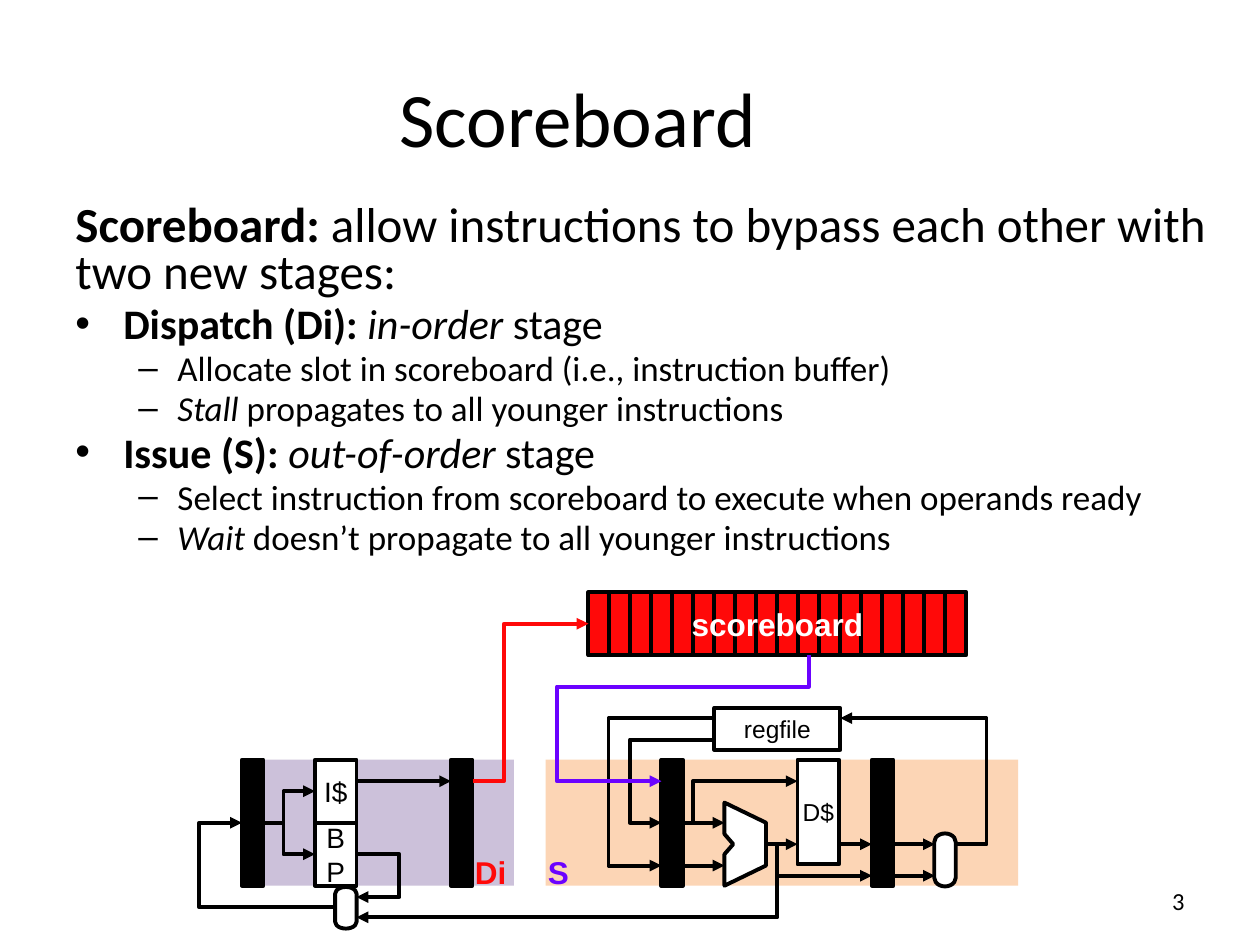
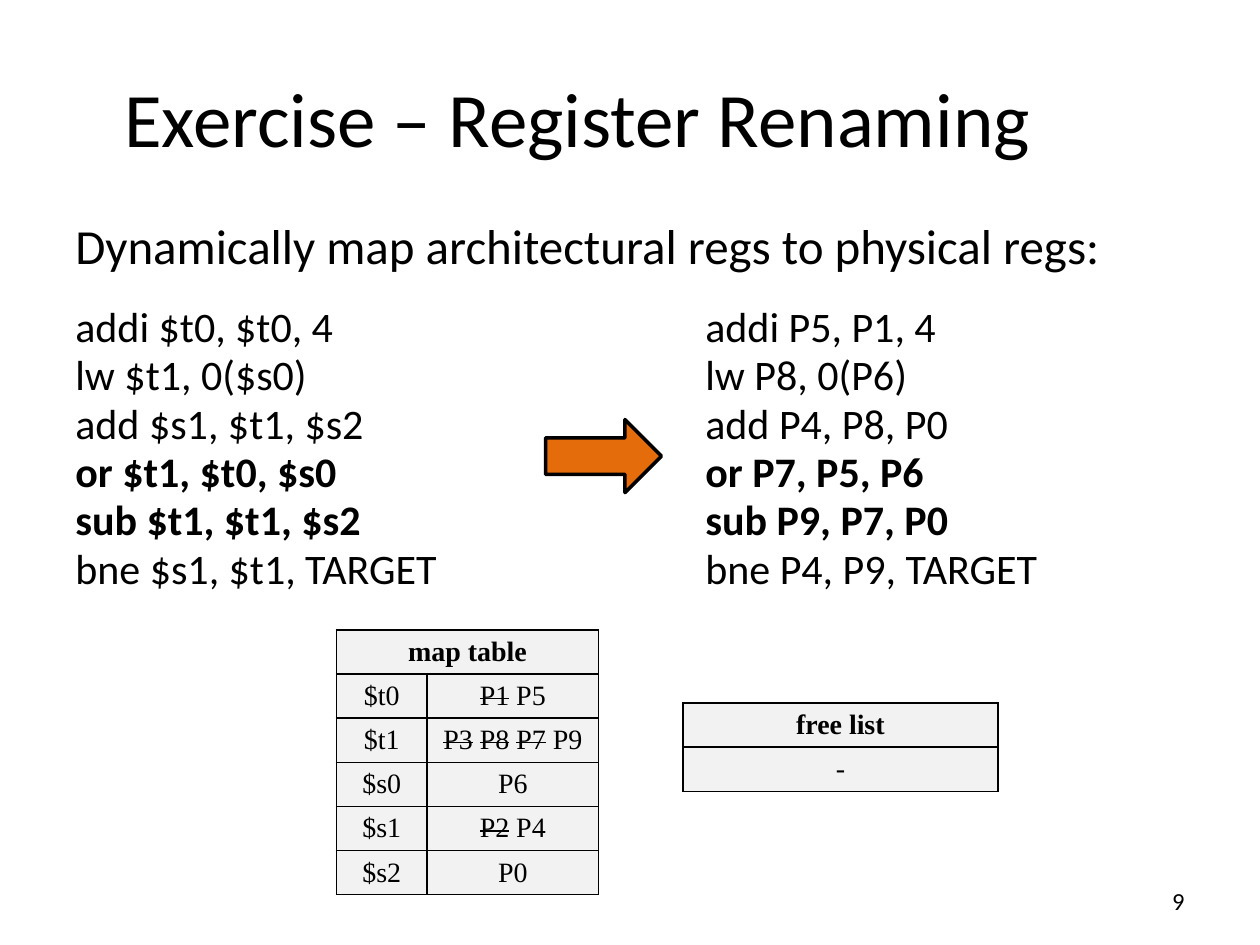
from lxml import etree
from pptx import Presentation
from pptx.dml.color import RGBColor
from pptx.enum.shapes import MSO_CONNECTOR, MSO_SHAPE
from pptx.enum.text import MSO_ANCHOR, PP_ALIGN
from pptx.oxml.ns import qn
from pptx.util import Inches, Pt

BLACK = RGBColor(0x00, 0x00, 0x00)
WHITE = RGBColor(0xFF, 0xFF, 0xFF)
RED = RGBColor(0xFF, 0x09, 0x09)
VIOLET = RGBColor(0x6B, 0x02, 0xFF)
LILAC = RGBColor(0xCC, 0xC1, 0xDA)
PEACH = RGBColor(0xFC, 0xD5, 0xB5)
ORANGE = RGBColor(0xE4, 0x6C, 0x0A)
GRAY = RGBColor(0xF2, 0xF2, 0xF2)

BODY, DIAGRAM, TABLE = "Calibri", "Arial", "Times New Roman"
BULLETS = {"•": (0.38, -0.38), "–": (0.81, -0.31)}


def write(paragraph, text, size=14, font=BODY, color=BLACK,
          bold=False, italic=False, strike=False):
    span = paragraph.add_run()
    span.text = text
    span.font.size = Pt(size)
    span.font.name = font
    span.font.color.rgb = color
    span.font.bold = bold
    span.font.italic = italic
    if strike:
        span.font._element.set("strike", "sngStrike")


class SlideWriter:
    def __init__(self, deck):
        self.deck = deck
        self.slide = None

    def start(self, title, number):
        """Add a slide with its title and page number."""
        self.slide = self.deck.slides.add_slide(self.deck.slide_layouts[5])
        holder = self.slide.shapes.title
        holder.left, holder.top = Inches(0.5), Inches(0.3)
        holder.width, holder.height = Inches(8.17), Inches(1.25)
        holder.text_frame.vertical_anchor = MSO_ANCHOR.MIDDLE
        paragraph = holder.text_frame.paragraphs[0]
        paragraph.alignment = PP_ALIGN.CENTER
        write(paragraph, title, size=44)
        self.label(str(number), 8.33, 6.95, 1.17, 0.4, align=PP_ALIGN.RIGHT,
                   anchor=MSO_ANCHOR.MIDDLE, wrap=True)

    def text_box(self, left, top, width, height):
        return self.slide.shapes.add_textbox(
            Inches(left), Inches(top), Inches(width), Inches(height))

    def label(self, text, left, top, width, height, align=PP_ALIGN.LEFT,
              anchor=MSO_ANCHOR.TOP, wrap=False, **style):
        frame = self.text_box(left, top, width, height).text_frame
        self.fill_frame(frame, text, align, anchor, wrap, **style)

    def fill_frame(self, frame, text, align=PP_ALIGN.CENTER,
                   anchor=MSO_ANCHOR.MIDDLE, wrap=False, **style):
        frame.word_wrap = wrap
        frame.vertical_anchor = anchor
        for index, line in enumerate(text.split("\n")):
            paragraph = frame.add_paragraph() if index else frame.paragraphs[0]
            paragraph.alignment = align
            write(paragraph, line, **style)

    def body(self, left, top, width, height, rows):
        """Each row: size, list of (text, style), bullet, extra space, tab."""
        frame = self.text_box(left, top, width, height).text_frame
        frame.word_wrap = True
        for index, row in enumerate(rows):
            paragraph = frame.add_paragraph() if index else frame.paragraphs[0]
            properties = paragraph._p.get_or_add_pPr()
            if row.get("bullet"):
                margin, indent = BULLETS[row["bullet"]]
                properties.set("marL", str(Inches(margin)))
                properties.set("indent", str(Inches(indent)))
                font = etree.SubElement(properties, qn("a:buFont"))
                font.set("typeface", "Arial")
                mark = etree.SubElement(properties, qn("a:buChar"))
                mark.set("char", row["bullet"])
            if row.get("tab"):
                stops = etree.SubElement(properties, qn("a:tabLst"))
                stop = etree.SubElement(stops, qn("a:tab"))
                stop.set("pos", str(Inches(row["tab"])))
                stop.set("algn", "l")
            paragraph.line_spacing = 0.8
            if index:
                gap = 0.19 * row["size"] + row.get("extra", 0)
                paragraph.space_before = Pt(round(gap, 1))
            for text, style in row["spans"]:
                write(paragraph, text, size=row["size"], **style)

    def shape(self, left, top, width, height, fill=WHITE, line=2.25,
              kind=MSO_SHAPE.RECTANGLE, rotation=0, text="", size=14):
        shape = self.slide.shapes.add_shape(
            kind, Inches(left), Inches(top), Inches(width), Inches(height))
        shape.rotation = rotation
        shape.fill.solid()
        shape.fill.fore_color.rgb = fill
        self.outline(shape, line)
        if text:
            self.fill_frame(shape.text_frame, text, size=size, font=DIAGRAM)

    def outline(self, shape, width=2.25, color=BLACK):
        shape.shadow.inherit = False
        if width:
            shape.line.color.rgb = color
            shape.line.width = Pt(width)
        else:
            shape.line.fill.background()

    def freeform(self, points, close):
        corners = [(Inches(x), Inches(y)) for x, y in points]
        builder = self.slide.shapes.build_freeform(*corners[0])
        builder.add_line_segments(corners[1:], close=close)
        return builder.convert_to_shape()

    def polygon(self, points, fill=WHITE):
        shape = self.freeform(points, close=True)
        shape.fill.solid()
        shape.fill.fore_color.rgb = fill
        self.outline(shape)

    def wire(self, *points, color=BLACK, arrow=True):
        """Straight wires are connectors, bent ones open outlines."""
        if len(points) == 2:
            ends = [Inches(value) for point in points for value in point]
            wire = self.slide.shapes.add_connector(MSO_CONNECTOR.STRAIGHT, *ends)
            etree.SubElement(wire._element.spPr, qn("a:effectLst"))
            wire.line.color.rgb = color
            wire.line.width = Pt(2.25)
        else:
            wire = self.freeform(points, close=False)
            wire.fill.background()
            self.outline(wire, color=color)
        if arrow:
            line = wire._element.spPr.find(qn("a:ln"))
            etree.SubElement(line, qn("a:tailEnd")).set("type", "triangle")

    def table(self, left, top, widths, heading, rows):
        count = len(rows) + 1
        height = 0.35
        table = self.slide.shapes.add_table(
            count, len(widths), Inches(left), Inches(top),
            Inches(sum(widths)), Inches(height * count)).table
        for column, width in zip(table.columns, widths):
            column.width = Inches(width)
        for row in table.rows:
            row.height = Inches(height)
        for cell in table.iter_cells():
            self.format_cell(cell)
        if len(widths) > 1:
            table.cell(0, 0).merge(table.cell(0, len(widths) - 1))
        write(table.cell(0, 0).text_frame.paragraphs[0], heading,
              size=16, font=TABLE, bold=True)
        for index, row in enumerate(rows, 1):
            for column, (freed, current) in enumerate(row):
                paragraph = table.cell(index, column).text_frame.paragraphs[0]
                for register in freed:
                    write(paragraph, register, size=16, font=TABLE, strike=True)
                    write(paragraph, " ", size=16, font=TABLE)
                write(paragraph, current, size=16, font=TABLE)

    def format_cell(self, cell):
        properties = cell._tc.get_or_add_tcPr()
        for side in ("a:lnL", "a:lnR", "a:lnT", "a:lnB"):
            border = etree.SubElement(properties, qn(side))
            border.set("w", str(Pt(1)))
            paint = etree.SubElement(border, qn("a:solidFill"))
            etree.SubElement(paint, qn("a:srgbClr")).set("val", str(BLACK))
        cell.fill.solid()
        cell.fill.fore_color.rgb = GRAY
        cell.vertical_anchor = MSO_ANCHOR.MIDDLE
        cell.margin_top = cell.margin_bottom = Inches(0.04)
        cell.text_frame.paragraphs[0].alignment = PP_ALIGN.CENTER


def draw_pipeline(page):
    # Stage areas
    page.shape(4.33, 6.03, 3.75, 1, fill=PEACH, line=0)
    page.shape(2.08, 6.03, 2, 1, fill=LILAC, line=0)

    # Units and pipeline latches
    page.shape(5.67, 5.62, 1, 0.33, text="regfile")
    page.polygon([(5.75, 6.37), (5.75, 6.62), (5.82, 6.7), (5.75, 6.78),
                  (5.75, 7.03), (6.08, 6.87), (6.08, 6.53)])
    page.shape(6.33, 6.03, 0.33, 0.83, text="D$")
    for left in (1.92, 3.58, 5.25, 6.92):
        page.shape(left, 6.03, 0.17, 1, fill=BLACK)
    page.shape(2.5, 6.03, 0.33, 0.5, text="I$", size=16)
    for left, top, width in ((7.29, 6.74, 0.42), (2.58, 7.12, 0.33)):
        page.shape(left, top, width, 0.17, rotation=90,
                   kind=MSO_SHAPE.FLOWCHART_TERMINATOR)

    # Fetch wires
    page.wire((2.08, 6.53), (2.25, 6.53), arrow=False)
    page.wire((2.25, 6.62), (2.25, 6.28), (2.5, 6.28))
    page.wire((2.25, 6.62), (2.25, 6.78), (2.5, 6.78))
    page.wire((2.83, 6.2), (3.58, 6.2))
    page.wire((2.83, 6.78), (3.17, 6.78), (3.17, 7.12), (2.83, 7.12))
    page.wire((6.17, 6.7), (6.17, 7.28), (2.83, 7.28))
    page.wire((2.67, 7.2), (1.58, 7.2), (1.58, 6.53), (1.92, 6.53))
    page.shape(2.5, 6.53, 0.33, 0.5, text="B\nP", size=16)

    # Execute and write-back wires
    for start, end, height in ((7.08, 7.42, 6.7), (7.08, 7.42, 6.95),
                               (6.67, 6.92, 6.7), (5.42, 5.75, 6.53),
                               (5.42, 5.75, 6.87), (6.08, 6.33, 6.7)):
        page.wire((start, height), (end, height))
    page.wire((5.5, 6.53), (5.5, 6.2), (6.33, 6.2))
    page.wire((6.17, 6.7), (6.17, 6.95), (6.92, 6.95))
    page.wire((5.67, 5.87), (5, 5.87), (5, 6.53), (5.25, 6.53))
    page.wire((5.67, 5.7), (4.83, 5.7), (4.83, 6.87), (5.25, 6.87))
    page.wire((7.58, 6.7), (7.83, 6.7), (7.83, 5.7), (6.67, 5.7))

    # Scoreboard slots with dispatch and issue paths
    slots = 18
    for slot in range(slots):
        page.shape(4.67 + slot * 3 / slots, 4.7, 3 / slots, 0.5, fill=RED)
    page.label("scoreboard", 4.67, 4.7, 3, 0.5, align=PP_ALIGN.CENTER,
               anchor=MSO_ANCHOR.MIDDLE, size=18, font=DIAGRAM,
               color=WHITE, bold=True)
    page.wire((3.75, 6.2), (4, 6.2), (4, 4.95), (4.67, 4.95), color=RED)
    page.wire((6.42, 5.2), (6.42, 5.45), (4.42, 5.45), (4.42, 6.2),
              (5.25, 6.2), color=VIOLET)
    for text, left, width, color in (("S", 4.25, 0.37, VIOLET),
                                     ("Di", 3.67, 0.45, RED)):
        page.label(text, left, 6.72, width, 0.4, size=18, font=DIAGRAM,
                   color=color, bold=True)


def scoreboard_slide(page):
    page.start("Scoreboard", 3)
    bold, italic, plain = {"bold": True}, {"italic": True}, {}

    def stage(name, order):
        return {"size": 24, "bullet": "•",
                "spans": [(name, bold), (order, italic), (" stage", plain)]}

    def detail(text, lead=""):
        spans = [(lead, italic)] if lead else []
        return {"size": 20, "bullet": "–", "spans": spans + [(text, plain)]}

    page.body(0.5, 1.58, 9.42, 3, [
        {"size": 28, "spans": [
            ("Scoreboard: ", bold),
            ("allow instructions to bypass each other with two new stages:",
             plain)]},
        stage("Dispatch (Di): ", "in-order"),
        detail("Allocate slot in scoreboard (i.e., instruction buffer)"),
        detail(" propagates to all younger instructions", lead="Stall"),
        stage("Issue (S): ", "out-of-order"),
        detail("Select instruction from scoreboard to execute when operands ready"),
        detail(" doesn’t propagate to all younger instructions", lead="Wait"),
    ])
    draw_pipeline(page)


def renaming_slide(page):
    page.start("Exercise – Register Renaming", 9)

    # Code before and after renaming
    code = [("addi $t0, $t0, 4", "addi P5, P1, 4", False),
            ("lw $t1, 0($s0)", "lw P8, 0(P6)", False),
            ("add $s1, $t1, $s2", "add P4, P8, P0", False),
            ("or $t1, $t0, $s0", "or P7, P5, P6", True),
            ("sub $t1, $t1, $s2", "sub P9, P7, P0", True),
            ("bne $s1, $t1, TARGET", "bne P4, P9, TARGET", False)]
    rows = [{"size": 28, "spans": [
        ("Dynamically map architectural regs to physical regs:", {})]}]
    for index, (before, after, bold) in enumerate(code):
        rows.append({"size": 24, "tab": 5, "extra": 0 if index else 16.3,
                     "spans": [(f"{before}\t{after}", {"bold": bold})]})
    page.body(0.5, 1.75, 9, 3.5, rows)
    page.shape(4.33, 3.33, 0.92, 0.58, fill=ORANGE, line=2,
               kind=MSO_SHAPE.RIGHT_ARROW)

    # Register state: freed names are struck out
    mapping = [("$t0", ["P1"], "P5"), ("$t1", ["P3", "P8", "P7"], "P9"),
               ("$s0", [], "P6"), ("$s1", ["P2"], "P4"), ("$s2", [], "P0")]
    page.table(2.67, 5, [0.72, 1.36], "map table",
               [[([], name), (freed, current)] for name, freed, current in mapping])
    page.table(5.42, 5.58, [2.5], "free list", [[([], "-")]])


def main():
    deck = Presentation()
    deck.slide_width, deck.slide_height = Inches(10), Inches(7.5)
    page = SlideWriter(deck)
    scoreboard_slide(page)
    renaming_slide(page)
    deck.save("out.pptx")


if __name__ == "__main__":
    main()
